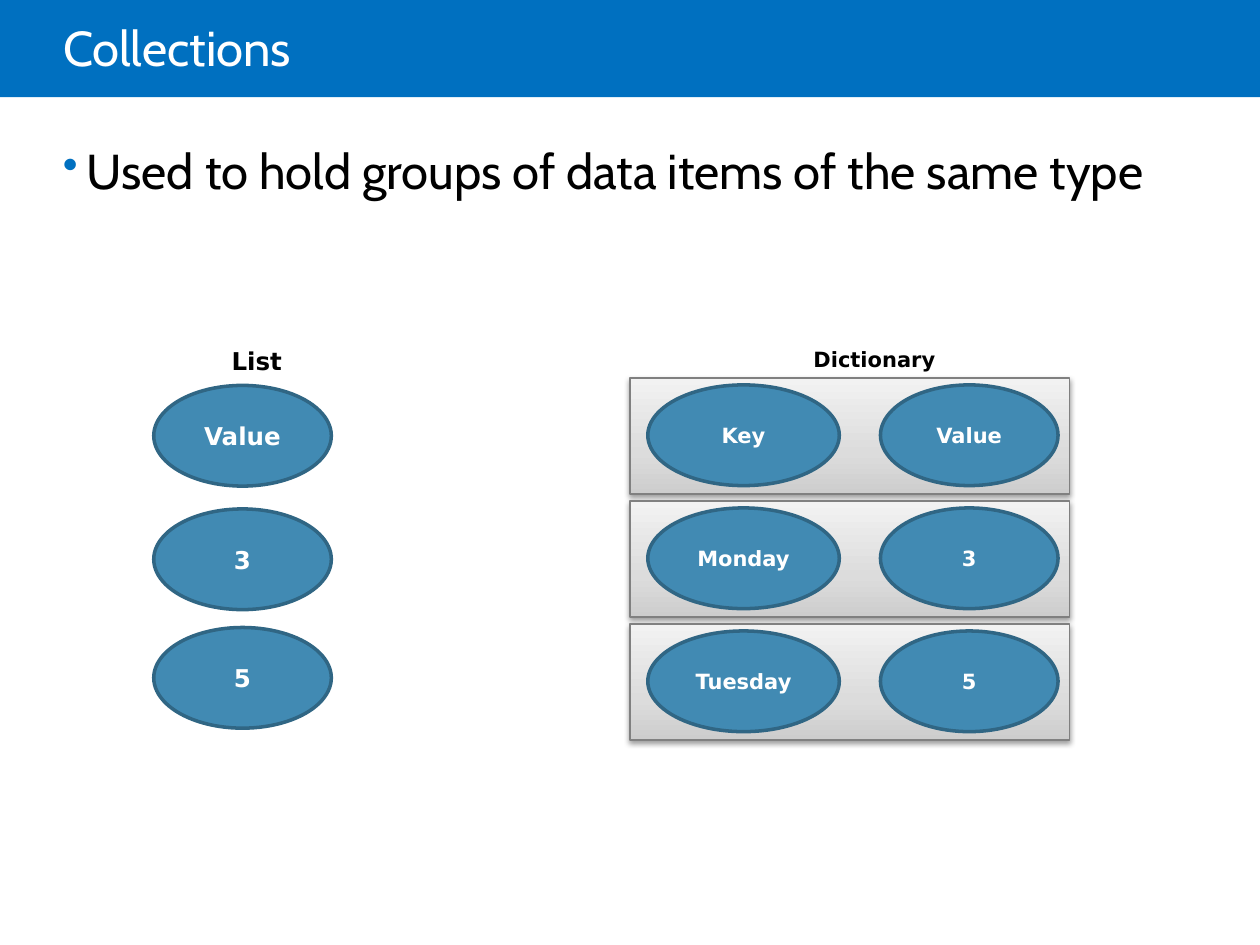
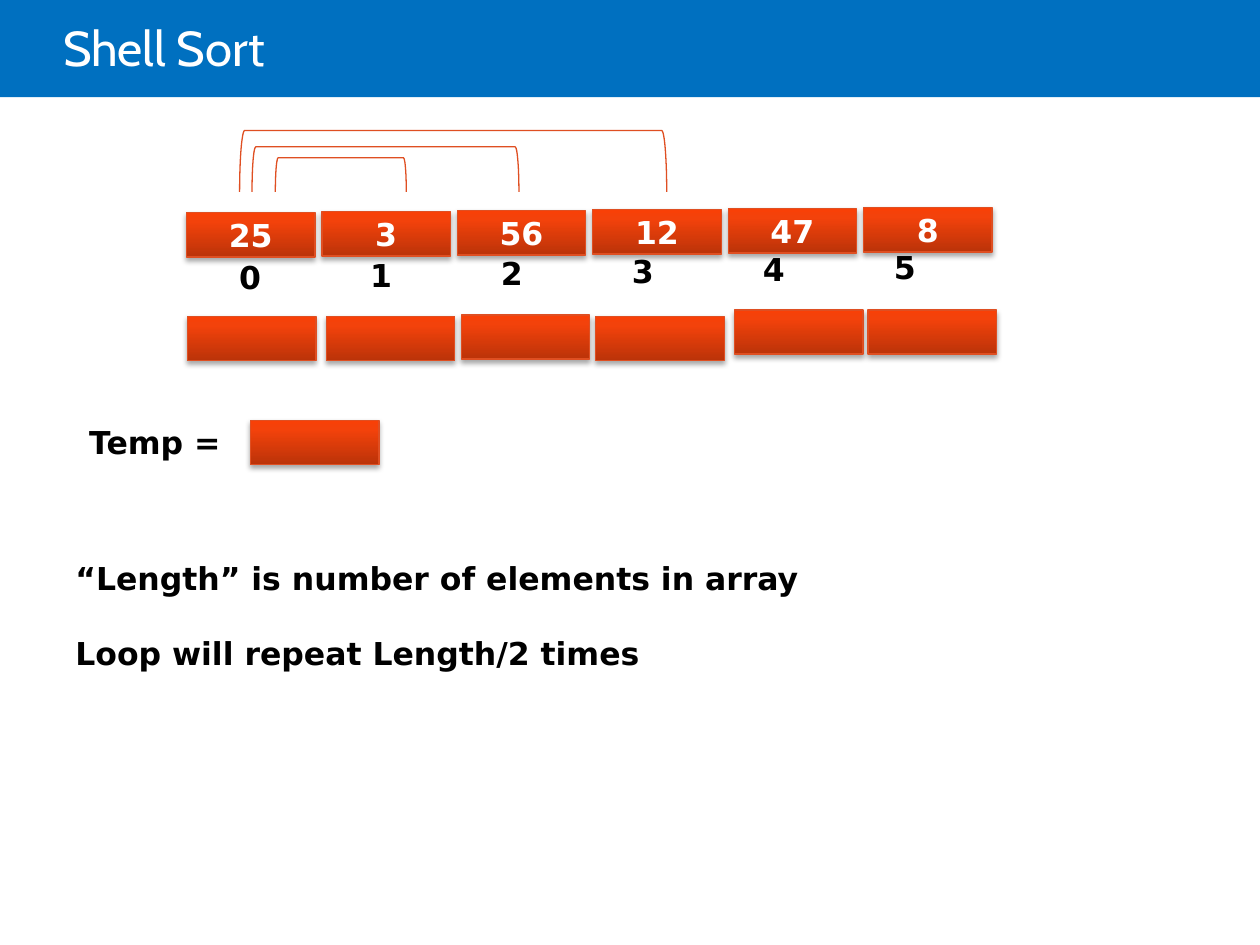
from lxml import etree
from pptx import Presentation
from pptx.dml.color import RGBColor
from pptx.enum import shapes, text
from pptx.oxml import ns
from pptx.util import Cm, Pt

BLUE, BLACK, WHITE = "0070C0", "000000", "FFFFFF"
OVAL_FILL, OVAL_LINE = "418AB3", "306684"
CARD_LINE, CELL_LINE = "808080", "DF4F22"
CARD_STOPS = ((0, "CDCDCD"), (35, "DCDCDC"), (100, "F2F2F2"))
CELL_STOPS = ((0, "BB3309"), (80, "F3420B"), (100, "F84007"))
HEADING_FONT, LABEL_FONT = "Cabin", "DejaVu Sans"
CELL_SIZE = (2.59, 0.89)


def colour(hex_code):
    return RGBColor.from_string(hex_code)


def xml_child(parent, tag, **attributes):
    return etree.SubElement(parent, ns.qn(tag), attributes)


def place(shape, box):
    shape.left, shape.top, shape.width, shape.height = map(Cm, box)


def set_insets(frame, left, top, right, bottom):
    frame.margin_left, frame.margin_top = Cm(left), Cm(top)
    frame.margin_right, frame.margin_bottom = Cm(right), Cm(bottom)


def add_span(para, words, size, shade=BLACK, font=LABEL_FONT, bold=True):
    span = para.add_run()
    span.text = words
    span.font.name, span.font.size, span.font.bold = font, Pt(size), bold
    span.font.color.rgb = colour(shade)


def add_outlined(page, kind, box, line, width):
    shape = page.shapes.add_shape(kind, *map(Cm, box))
    shape.shadow.inherit = False
    shape.line.color.rgb = colour(line)
    shape.line.width = Pt(width)
    return shape


def write_centred(shape, words, size):
    frame = shape.text_frame
    frame.word_wrap = True
    frame.vertical_anchor = text.MSO_ANCHOR.MIDDLE
    para = frame.paragraphs[0]
    para.alignment = text.PP_ALIGN.CENTER
    add_span(para, words, size, WHITE)


def add_raised_box(page, box, stops, line, opacity, distance):
    """Rectangle with an upward gradient and a soft shadow beneath."""
    shape = add_outlined(page, shapes.MSO_SHAPE.RECTANGLE, box, line, 0.75)
    shape.fill.gradient()
    shape.fill.gradient_angle = 90
    properties = shape.element.spPr
    stop_list = properties.find(".//" + ns.qn("a:gsLst"))
    stop_list.clear()
    for position, shade in stops:
        stop = xml_child(stop_list, "a:gs", pos=str(position * 1000))
        xml_child(stop, "a:srgbClr", val=shade)
    shadow = xml_child(properties.find(ns.qn("a:effectLst")), "a:outerShdw",
                       blurRad=str(Pt(3.1)), dist=str(Pt(distance)),
                       dir="5400000", rotWithShape="0")
    shade = xml_child(shadow, "a:srgbClr", val=BLACK)
    xml_child(shade, "a:alpha", val=str(opacity * 1000))
    return shape


def add_label(page, box, lines, size, gap=0):
    frame = page.shapes.add_textbox(*map(Cm, box)).text_frame
    frame.word_wrap = False
    for index, words in enumerate(lines):
        para = frame.add_paragraph() if index else frame.paragraphs[0]
        if index:
            para.space_before = Pt(gap)
        add_span(para, words, size)


def add_title_band(deck, page, layout):
    """Put the blue band on the layout, behind every title."""
    band = page.shapes.add_shape(shapes.MSO_SHAPE.RECTANGLE, 0, 0, deck.slide_width, Cm(1.96))
    band.shadow.inherit = False
    band.fill.solid()
    band.fill.fore_color.rgb = colour(BLUE)
    band.line.fill.background()
    band.element.nvSpPr.cNvPr.set("id", "20")
    layout.shapes.element.insert(2, band.element)


def add_page(deck, layout, title):
    page = deck.slides.add_slide(layout)
    heading = page.shapes.title
    place(heading, (1.27, 0, 21.59, 2.06))
    frame = heading.text_frame
    frame.word_wrap = True
    frame.auto_size = text.MSO_AUTO_SIZE.NONE
    frame.vertical_anchor = text.MSO_ANCHOR.MIDDLE
    set_insets(frame, 0, 0.13, 0.25, 0.13)
    para = frame.paragraphs[0]
    para.alignment = text.PP_ALIGN.LEFT
    para.line_spacing = 0.85
    add_span(para, title, 28, WHITE, HEADING_FONT, False)
    return page


def add_bullet(page, box, words):
    frame = page.shapes.add_textbox(*map(Cm, box)).text_frame
    frame.word_wrap = True
    set_insets(frame, 0, 0, 0, 0)
    para = frame.paragraphs[0]
    para.space_before = Pt(6)
    add_span(para, words, 28, BLACK, HEADING_FONT, False)
    properties = para._p.get_or_add_pPr()
    properties.set("marL", str(Cm(0.48)))
    properties.set("indent", str(-Cm(0.48)))
    xml_child(xml_child(properties, "a:buClr"), "a:srgbClr", val=BLUE)
    xml_child(properties, "a:buSzPct", val="90000")
    xml_child(properties, "a:buChar", char="•")


def add_oval(page, box, words, size):
    oval = add_outlined(page, shapes.MSO_SHAPE.OVAL, box, OVAL_LINE, 2)
    oval.fill.solid()
    oval.fill.fore_color.rgb = colour(OVAL_FILL)
    write_centred(oval, words, size)


def add_list(page, left, top, values):
    add_label(page, (left + 1.32, top - 0.91, 1.52, 0.86), ["List"], 14)
    for offset, value in zip((0, 2.49, 4.88), values):
        add_oval(page, (left, top + offset, 3.58, 2.03), value, 14)


def add_dictionary(page, left, top, pairs):
    add_label(page, (left + 3.45, top - 0.76, 2.97, 0.76), ["Dictionary"], 12)
    for row, (key, value) in enumerate(pairs):
        y = top + row * 2.48
        add_raised_box(page, (left, y, 8.86, 2.34), CARD_STOPS, CARD_LINE, 38, 1.6)
        add_oval(page, (left + 0.36, y + 0.14, 3.86, 2.03), key, 12)
        add_oval(page, (left + 5.05, y + 0.14, 3.58, 2.03), value, 12)


def add_cell(page, left, top, value=None):
    cell = add_raised_box(page, (left, top, *CELL_SIZE), CELL_STOPS, CELL_LINE, 35, 1.8)
    if value is not None:
        write_centred(cell, str(value), 18)
        set_insets(cell.text_frame, 0.51, 0.13, 0.51, 0.13)


def add_array(page, left, top, values):
    """Filled cells with their indexes below; both rows rise slightly."""
    for index, value in enumerate(values):
        add_cell(page, left + index * 2.73, top - index * 0.02, value)
        label = (left + 0.81 + index * 2.64, top + 0.79 - index * 0.04, 0.97, 1.02)
        add_label(page, label, [str(index)], 18)


def add_bracket(page, left, right, bottom, height):
    """Left bracket turned to open downwards over the given span."""
    span = right - left
    box = ((left + right - height) / 2, bottom - (height + span) / 2, height, span)
    bracket = add_outlined(page, shapes.MSO_SHAPE.LEFT_BRACKET, box, CELL_LINE, 0.75)
    bracket.fill.background()
    bracket.rotation = 90


def build_collections(page):
    add_bullet(page, (1.27, 2.84, 22.56, 14.3),
               "Used to hold groups of data items of the same type")
    add_list(page, 3.1, 7.77, ("Value", "3", "5"))
    add_dictionary(page, 12.7, 7.62, (("Key", "Value"), ("Monday", "3"), ("Tuesday", "5")))


def build_shell_sort(page):
    for left, right, height in ((4.83, 13.44, 1.24), (5.08, 10.46, 0.91), (5.55, 8.19, 0.69)):
        add_bracket(page, left, right, 3.87, height)
    add_array(page, 3.76, 4.29, (25, 3, 56, 12, 47, 8))
    empty_cells = ((3.78, 6.38), (6.58, 6.38), (9.3, 6.35),
                   (12.01, 6.38), (14.81, 6.25), (17.5, 6.25))
    for left, top in empty_cells:
        add_cell(page, left, top)
    add_label(page, (1.55, 8.41, 3.28, 1.02), ["Temp ="], 18)
    add_cell(page, 5.05, 8.48)
    add_label(page, (1.27, 11.15, 15.29, 2.57),
              ["“Length” is number of elements in array", "Loop will repeat Length/2 times"],
              18, gap=21)


def main():
    deck = Presentation()
    deck.slide_width, deck.slide_height = Cm(25.4), Cm(19.05)
    layout = deck.slide_layouts[5]
    collections_page = add_page(deck, layout, "Collections")
    add_title_band(deck, collections_page, layout)
    build_collections(collections_page)
    build_shell_sort(add_page(deck, layout, "Shell Sort"))
    deck.save("out.pptx")


if __name__ == "__main__":
    main()
